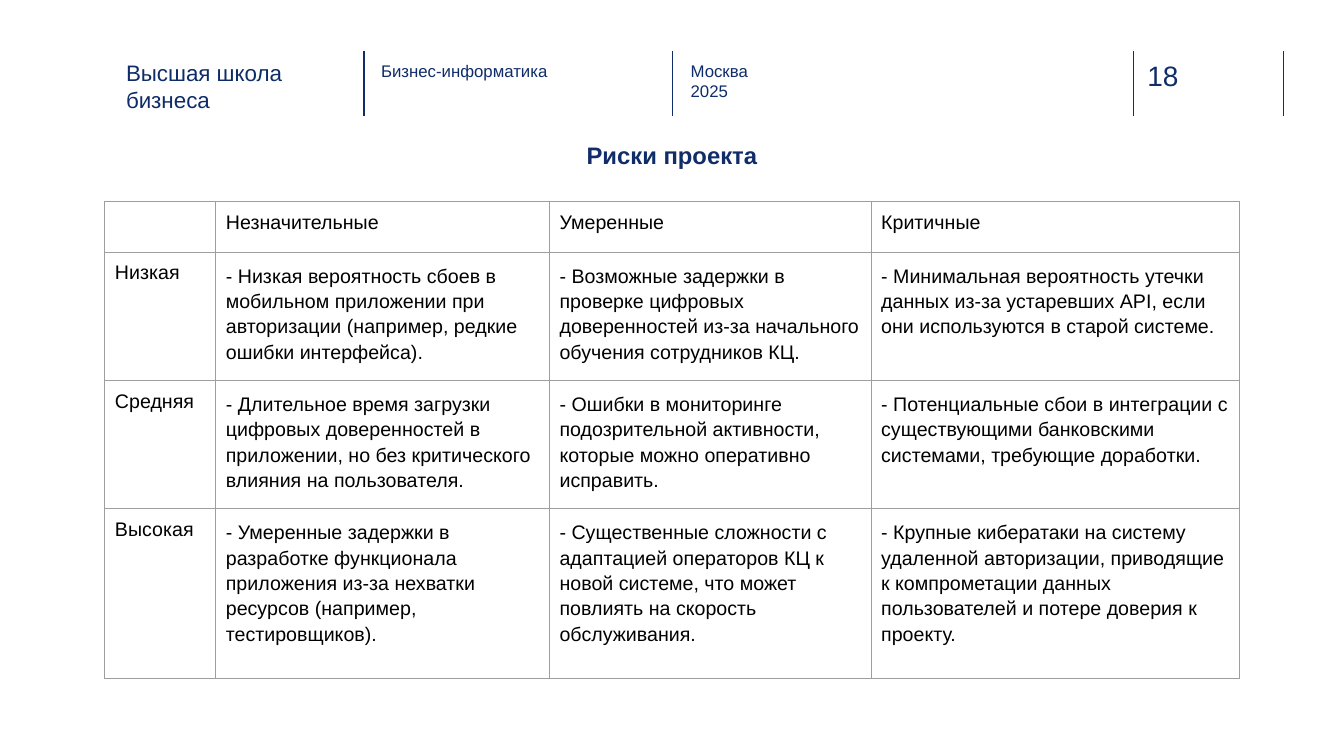
from typing import NamedTuple

from lxml.etree import SubElement
from pptx import Presentation
from pptx.dml.color import RGBColor
from pptx.enum.shapes import MSO_CONNECTOR as Connector
from pptx.enum.text import MSO_ANCHOR as Anchor, MSO_AUTO_SIZE as AutoSize, PP_ALIGN as Align
from pptx.oxml.ns import qn
from pptx.util import Inches, Pt

COLORS = {
    "navy": "102D69",
    "header": "0E2D69",
    "school": "0F2C68",
    "text": "000000",
    "grid": "9E9E9E",
    "cell": "FFFFFF",
}
FONT = "Arial"
DIVIDERS = (3.61, 6.67, 11.24, 12.73)
DIVIDER_TOP, DIVIDER_BOTTOM = 0.51, 1.15
CELL_INSET = 0.1


class HeaderLabel(NamedTuple):
    text: str
    left: float
    top: float
    width: float
    height: float
    size: int
    color: str


HEADER = (
    HeaderLabel("Высшая школа бизнеса", 1.25, 0.59, 2.08, 0.45, 16, "school"),
    HeaderLabel("Бизнес-информатика", 3.78, 0.6, 2.26, 0.45, 12, "header"),
    HeaderLabel("Москва\n2025", 6.85, 0.6, 2.26, 0.45, 12, "header"),
    HeaderLabel("18", 11.38, 0.58, 0.73, 0.33, 20, "navy"),
)

COLUMN_WIDTHS = (1.1, 3.31, 3.19, 3.65)
ROW_HEIGHTS = (0.48, 1.2, 1.2, 1.68)
RISKS = (
    ("", "Незначительные", "Умеренные", "Критичные"),
    (
        "Низкая",
        "- Низкая вероятность сбоев в мобильном приложении при авторизации "
        "(например, редкие ошибки интерфейса).",
        "- Возможные задержки в проверке цифровых доверенностей из-за "
        "начального обучения сотрудников КЦ.",
        "- Минимальная вероятность утечки данных из-за устаревших API, "
        "если они используются в старой системе.",
    ),
    (
        "Средняя",
        "- Длительное время загрузки цифровых доверенностей в приложении, "
        "но без критического влияния на пользователя.",
        "- Ошибки в мониторинге подозрительной активности, "
        "которые можно оперативно исправить.",
        "- Потенциальные сбои в интеграции с существующими банковскими "
        "системами, требующие доработки.",
    ),
    (
        "Высокая",
        "- Умеренные задержки в разработке функционала приложения из-за "
        "нехватки ресурсов (например, тестировщиков).",
        "- Существенные сложности с адаптацией операторов КЦ к новой системе, "
        "что может повлиять на скорость обслуживания.",
        "- Крупные кибератаки на систему удаленной авторизации, приводящие "
        "к компрометации данных пользователей и потере доверия к проекту.",
    ),
)


def rgb(name: str) -> RGBColor:
    return RGBColor.from_string(COLORS[name])


def write_text(frame, text: str, *, size: float, color: str, bold: bool = False,
               align=Align.LEFT, spacing: float = 1.0, inset: float = 0) -> None:
    frame.word_wrap = True
    frame.margin_left = frame.margin_right = Inches(inset)
    frame.margin_top = frame.margin_bottom = Inches(inset)
    for index, line in enumerate(text.split("\n")):
        paragraph = frame.add_paragraph() if index else frame.paragraphs[0]
        paragraph.alignment = align
        paragraph.line_spacing = spacing
        run = paragraph.add_run()
        run.text = line
        run.font.name = FONT
        run.font.size = Pt(size)
        run.font.bold = bold
        run.font.color.rgb = rgb(color)


def add_divider(slide, x: float) -> None:
    divider = slide.shapes.add_connector(
        Connector.STRAIGHT, Inches(x), Inches(DIVIDER_TOP), Inches(x), Inches(DIVIDER_BOTTOM))
    divider.line.color.rgb = rgb("navy")
    divider.line.width = Pt(1)
    SubElement(divider.element.spPr, qn("a:effectLst"))


def add_header_label(slide, label: HeaderLabel) -> None:
    box = slide.shapes.add_textbox(
        Inches(label.left), Inches(label.top), Inches(label.width), Inches(label.height))
    write_text(box.text_frame, label.text, size=label.size, color=label.color)


def place_title(slide, text: str) -> None:
    title = slide.shapes.title
    title.left, title.top = Inches(0.49), Inches(1.25)
    title.width, title.height = Inches(12.35), Inches(0.49)
    frame = title.text_frame
    frame.auto_size = AutoSize.NONE
    frame.vertical_anchor = Anchor.TOP
    write_text(frame, text, size=17, color="navy", bold=True,
               align=Align.CENTER, spacing=1.15, inset=0.1)


def style_cell(cell) -> None:
    properties = cell._tc.get_or_add_tcPr()
    for side in ("lnL", "lnR", "lnT", "lnB"):
        border = SubElement(properties, qn(f"a:{side}"), w=str(Pt(0.75)))
        SubElement(SubElement(border, qn("a:solidFill")), qn("a:srgbClr"), val=COLORS["grid"])
    cell.fill.solid()
    cell.fill.fore_color.rgb = rgb("cell")
    cell.margin_left = cell.margin_right = Inches(CELL_INSET)
    cell.margin_top = cell.margin_bottom = Inches(CELL_INSET)


def add_risk_table(slide) -> None:
    table = slide.shapes.add_table(
        len(RISKS), len(COLUMN_WIDTHS), Inches(1.04), Inches(2),
        Inches(sum(COLUMN_WIDTHS)), Inches(sum(ROW_HEIGHTS))).table
    table.first_row = table.horz_banding = False
    for column, width in zip(table.columns, COLUMN_WIDTHS):
        column.width = Inches(width)
    for row, height in zip(table.rows, ROW_HEIGHTS):
        row.height = Inches(height)
    for r, risks in enumerate(RISKS):
        for c, risk in enumerate(risks):
            cell = table.cell(r, c)
            style_cell(cell)
            write_text(cell.text_frame, risk, size=14, color="text",
                       spacing=1.15 if r and c else 1.0, inset=CELL_INSET)


def main() -> None:
    deck = Presentation()
    deck.slide_width, deck.slide_height = Inches(13.33), Inches(7.5)
    slide = deck.slides.add_slide(deck.slide_layouts[5])

    # Header band
    for x in DIVIDERS:
        add_divider(slide, x)
    for label in HEADER:
        add_header_label(slide, label)

    # Title and risk matrix
    place_title(slide, "Риски проекта")
    add_risk_table(slide)

    deck.save("out.pptx")


if __name__ == "__main__":
    main()
